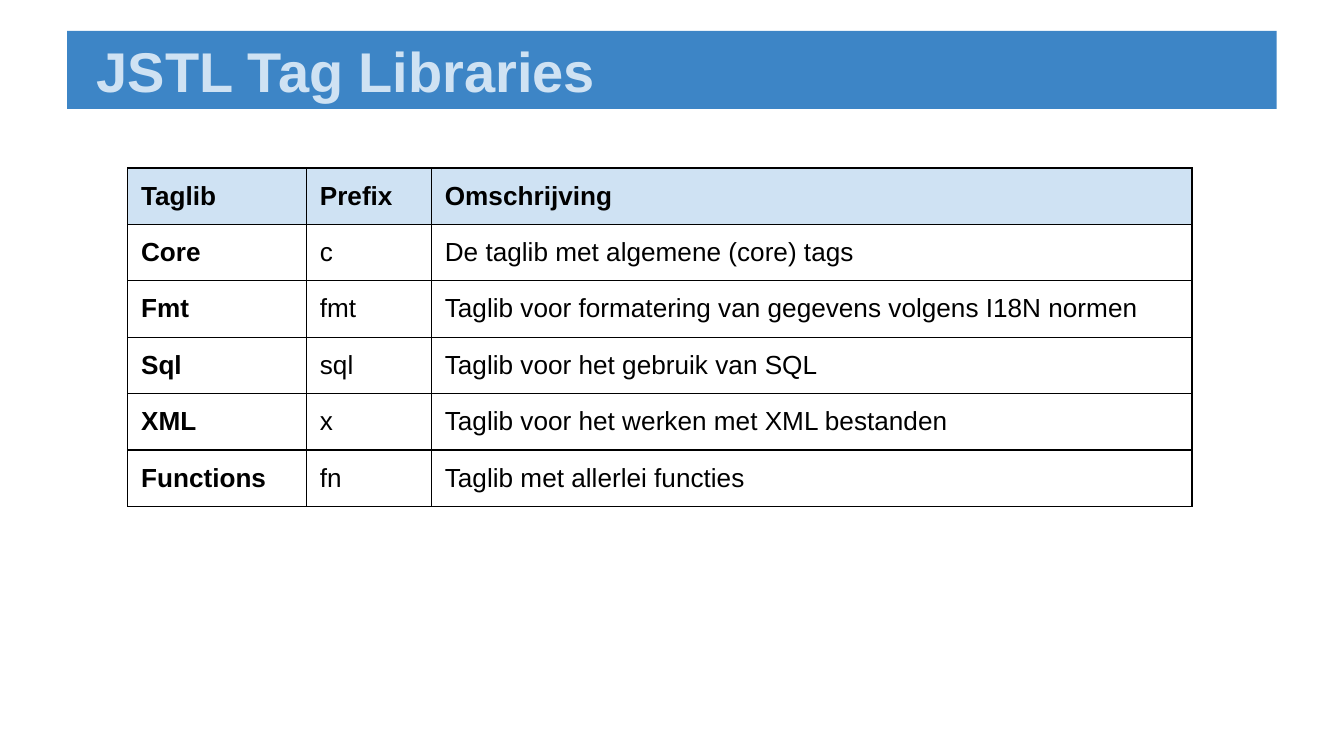
from lxml import etree
from pptx import Presentation
from pptx.dml.color import RGBColor
from pptx.enum.shapes import MSO_SHAPE
from pptx.enum.text import MSO_ANCHOR, PP_ALIGN
from pptx.oxml.ns import qn
from pptx.util import Inches, Pt

RECTANGLE = MSO_SHAPE.RECTANGLE
MIDDLE = MSO_ANCHOR.MIDDLE
TOP = MSO_ANCHOR.TOP
LEFT = PP_ALIGN.LEFT

COLORS = {"banner": "3D85C6", "pale": "CFE2F3", "ink": "000000"}
INSET = Inches(0.1)


def write_text(frame, text, size, color, bold):
    para = frame.paragraphs[0]
    para.alignment = LEFT
    span = para.add_run()
    span.text = text
    font_format = {"name": "Arial", "size": Pt(size), "bold": bold}
    for name, value in font_format.items():
        setattr(span.font, name, value)
    span.font.color.rgb = RGBColor.from_string(COLORS[color])


def add_borders(cell, color, width):
    properties = cell._tc.get_or_add_tcPr()
    for position, side in enumerate(("lnL", "lnR", "lnT", "lnB")):
        line = etree.Element(qn(f"a:{side}"), w=str(Pt(width)))
        fill = etree.SubElement(line, qn("a:solidFill"))
        etree.SubElement(fill, qn("a:srgbClr"), val=COLORS[color])
        properties.insert(position, line)


# Widescreen page, 16 to 9
deck = Presentation()
deck.slide_width = Inches(10)
deck.slide_height = Inches(10 * 9 / 16)
page = deck.slides.add_slide(deck.slide_layouts[6])

# Title banner
banner = page.shapes.add_shape(
    RECTANGLE, Inches(0.5), Inches(0.23), Inches(9), Inches(0.58)
)
banner.shadow.inherit = False
banner.fill.solid()
banner.fill.fore_color.rgb = RGBColor.from_string(COLORS["banner"])
banner.line.fill.background()
banner_format = {
    "margin_left": Inches(0.22),
    "margin_right": INSET,
    "margin_top": INSET,
    "margin_bottom": INSET,
    "vertical_anchor": MIDDLE,
    "word_wrap": True,
}
for name, value in banner_format.items():
    setattr(banner.text_frame, name, value)
write_text(banner.text_frame, "JSTL Tag Libraries", 30, "pale", True)

# Tag library table
rows = [
    ("Taglib", "Prefix", "Omschrijving"),
    ("Core", "c", "De taglib met algemene (core) tags"),
    ("Fmt", "fmt", "Taglib voor formatering van gegevens volgens I18N normen"),
    ("Sql", "sql", "Taglib voor het gebruik van SQL"),
    ("XML", "x", "Taglib voor het werken met XML bestanden"),
    ("Functions", "fn", "Taglib met allerlei functies"),
]
column_widths = [1.33, 0.93, 5.66]
row_height = 0.42

table = page.shapes.add_table(
    len(rows), len(column_widths), Inches(0.95), Inches(1.25),
    Inches(sum(column_widths)), Inches(row_height * len(rows)),
).table
table.first_row = False
table.horz_banding = False
for column, width in zip(table.columns, column_widths):
    column.width = Inches(width)

cell_format = {
    "margin_left": INSET,
    "margin_right": INSET,
    "margin_top": INSET,
    "margin_bottom": INSET,
    "vertical_anchor": TOP,
}
for row_index, row in enumerate(rows):
    table.rows[row_index].height = Inches(row_height)
    for column_index, text in enumerate(row):
        cell = table.cell(row_index, column_index)
        for name, value in cell_format.items():
            setattr(cell, name, value)
        is_header = row_index == 0
        if is_header:
            cell.fill.solid()
            cell.fill.fore_color.rgb = RGBColor.from_string(COLORS["pale"])
        else:
            cell.fill.background()
        add_borders(cell, "ink", 0.75)
        write_text(cell.text_frame, text, 14, "ink", is_header or column_index == 0)

deck.save("out.pptx")
